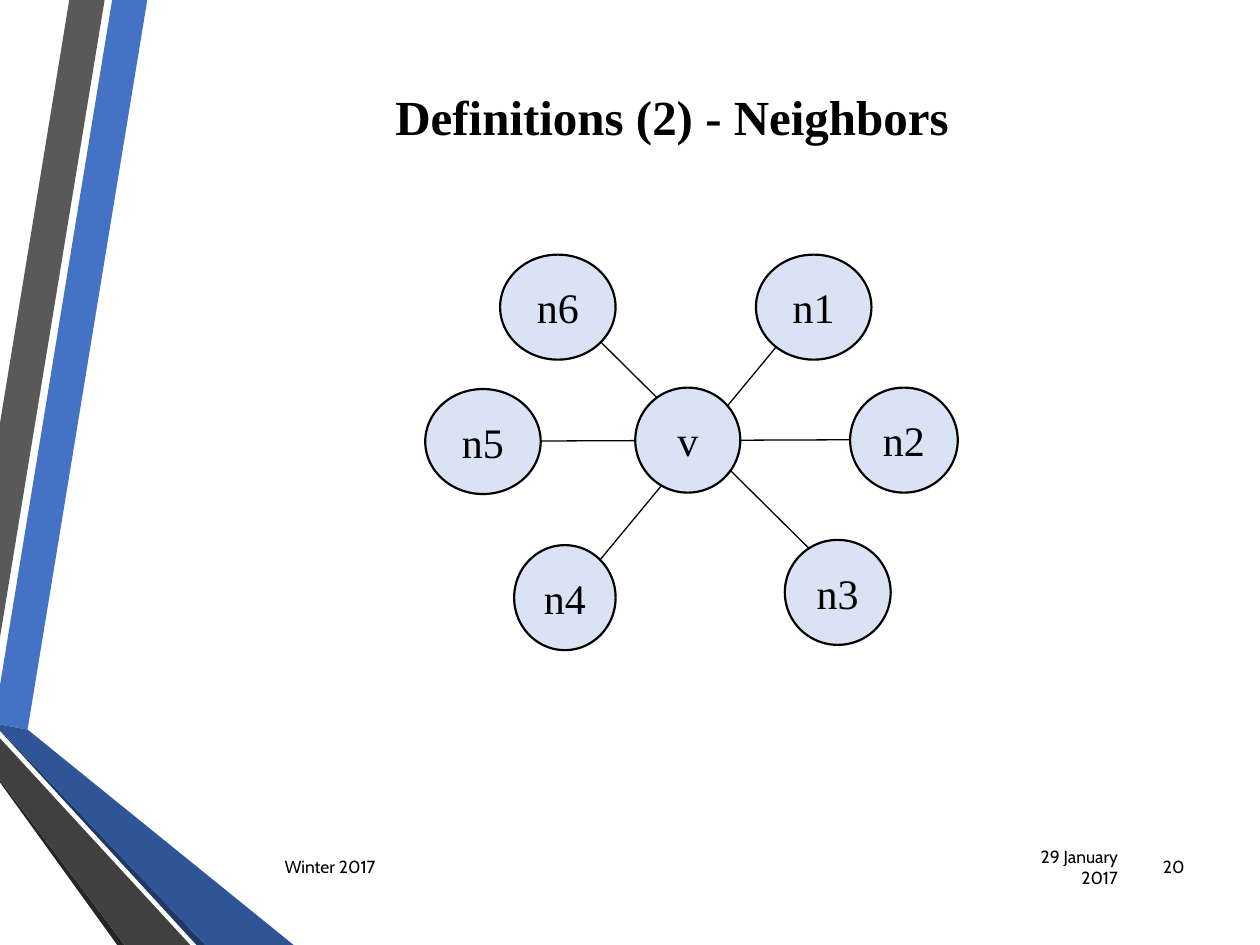
"""Build the slide that defines the neighbors of a graph vertex."""
from typing import NamedTuple

from lxml import etree
from pptx import Presentation
from pptx import util as u
from pptx.dml.color import RGBColor
from pptx.enum import shapes, text
from pptx.oxml import ns

BLACK = RGBColor(0x00, 0x00, 0x00)
WHITE = RGBColor(0xFF, 0xFF, 0xFF)
NODE_FILL = RGBColor(0xDA, 0xE3, 0xF3)
BLUE = RGBColor(0x44, 0x72, 0xC4)
DARK_BLUE = RGBColor(0x2F, 0x55, 0x97)
NAVY = RGBColor(0x20, 0x38, 0x64)
GRAY = RGBColor(0x59, 0x59, 0x59)
DARK_GRAY = RGBColor(0x40, 0x40, 0x40)
CHARCOAL = RGBColor(0x26, 0x26, 0x26)
SERIF, SANS = "Times New Roman", "Cabin"
NODE_HEIGHT = 60
FOOTER_TOP, FOOTER_HEIGHT = 481, 28.8


class Ribbon(NamedTuple):
    color: RGBColor
    points: list[tuple[float, float]]


class Node(NamedTuple):
    label: str
    left: float
    top: float
    width: float


class Edge(NamedTuple):
    start: tuple[float, float]
    end: tuple[float, float]


class Footer(NamedTuple):
    label: str
    left: float
    width: float
    align: text.PP_ALIGN


RIBBONS = [
    Ribbon(BLUE, [(0, 391.7), (0, 414), (15.8, 416.9), (84.2, 0), (64.1, 0)]),
    Ribbon(GRAY, [(59.8, 0), (39.6, 0), (0, 241.9), (0, 364.3)]),
    Ribbon(CHARCOAL, [(0, 445.7), (0, 447.1), (67, 540), (71.3, 540)]),
    Ribbon(NAVY, [(0, 416.9), (0, 417.6), (112.3, 540), (117.4, 540)]),
    Ribbon(DARK_BLUE, [(0, 416.9), (117.4, 540), (167.8, 540), (15.8, 416.9), (0, 414)]),
    Ribbon(DARK_GRAY, [(0, 445.7), (71.3, 540), (108.7, 540), (0, 421.9)]),
]
EDGES = [
    Edge((308.9, 252), (486, 251.3)),
    Edge((313.9, 166.3), (481.7, 332.6)),
    Edge((313.9, 355), (462.2, 175.7)),
]
NODES = [
    Node("v", 363, 221.5, 60),
    Node("n1", 432, 145.5, 66),
    Node("n2", 485.8, 221.5, 61.5),
    Node("n3", 448.5, 308.5, 60.5),
    Node("n4", 293.8, 311.5, 58),
    Node("n6", 285.8, 145.5, 66),
    Node("n5", 243, 222.3, 66),
]
FOOTERS = [
    Footer("29 January 2017", 578.2, 67.7, text.PP_ALIGN.RIGHT),
    Footer("Winter 2017", 155.5, 418.3, text.PP_ALIGN.LEFT),
    Footer("20", 650.2, 33.8, text.PP_ALIGN.RIGHT),
]


def write_text(shape, label: str, *, size: float, font: str, align: text.PP_ALIGN,
               bold: bool = False, wrap: bool = True) -> None:
    frame = shape.text_frame
    frame.text = label
    frame.word_wrap = wrap
    frame.auto_size = text.MSO_AUTO_SIZE.NONE
    frame.vertical_anchor = text.MSO_ANCHOR.MIDDLE
    paragraph = frame.paragraphs[0]
    paragraph.alignment = align
    paragraph.font.name = font
    paragraph.font.size = u.Pt(size)
    paragraph.font.bold = bold
    paragraph.font.color.rgb = BLACK


def draw_ribbon(slide, ribbon: Ribbon) -> None:
    first, *rest = [(u.Pt(x), u.Pt(y)) for x, y in ribbon.points]
    builder = slide.shapes.build_freeform(*first, scale=1.0)
    builder.add_line_segments(rest, close=True)
    shape = builder.convert_to_shape()
    shape.shadow.inherit = False
    shape.fill.solid()
    shape.fill.fore_color.rgb = ribbon.color
    shape.line.fill.background()


def draw_edge(slide, edge: Edge) -> None:
    ends = [u.Pt(value) for value in edge.start + edge.end]
    connector = slide.shapes.add_connector(shapes.MSO_CONNECTOR.STRAIGHT, *ends)
    connector.line.color.rgb = BLACK
    connector.line.width = u.Pt(0.75)
    etree.SubElement(connector._element.spPr, ns.qn("a:effectLst"))


def draw_node(slide, node: Node) -> None:
    shape = slide.shapes.add_shape(
        shapes.MSO_SHAPE.OVAL, u.Pt(node.left), u.Pt(node.top),
        u.Pt(node.width), u.Pt(NODE_HEIGHT))
    shape.shadow.inherit = False
    shape.fill.solid()
    shape.fill.fore_color.rgb = NODE_FILL
    shape.line.color.rgb = BLACK
    shape.line.width = u.Pt(1.25)
    write_text(shape, node.label, size=24, font=SERIF,
               align=text.PP_ALIGN.CENTER, wrap=False)


def draw_footer(slide, footer: Footer) -> None:
    box = slide.shapes.add_textbox(
        u.Pt(footer.left), u.Pt(FOOTER_TOP), u.Pt(footer.width), u.Pt(FOOTER_HEIGHT))
    write_text(box, footer.label, size=10, font=SANS, align=footer.align)


def place_title(slide, label: str) -> None:
    title = slide.shapes.title
    title.left, title.top = u.Pt(168), u.Pt(36)
    title.width, title.height = u.Pt(432), u.Pt(60)
    write_text(title, label, size=28, font=SERIF, align=text.PP_ALIGN.CENTER, bold=True)


def main() -> None:
    presentation = Presentation()
    presentation.slide_width, presentation.slide_height = u.Pt(720), u.Pt(540)
    slide = presentation.slides.add_slide(presentation.slide_layouts.get_by_name("Title Only"))
    slide.background.fill.solid()
    slide.background.fill.fore_color.rgb = WHITE
    for ribbon in RIBBONS:
        draw_ribbon(slide, ribbon)
    place_title(slide, "Definitions (2) - Neighbors")
    for footer in FOOTERS:
        draw_footer(slide, footer)
    for edge in EDGES:
        draw_edge(slide, edge)
    for node in NODES:
        draw_node(slide, node)
    presentation.save("out.pptx")


if __name__ == "__main__":
    main()
